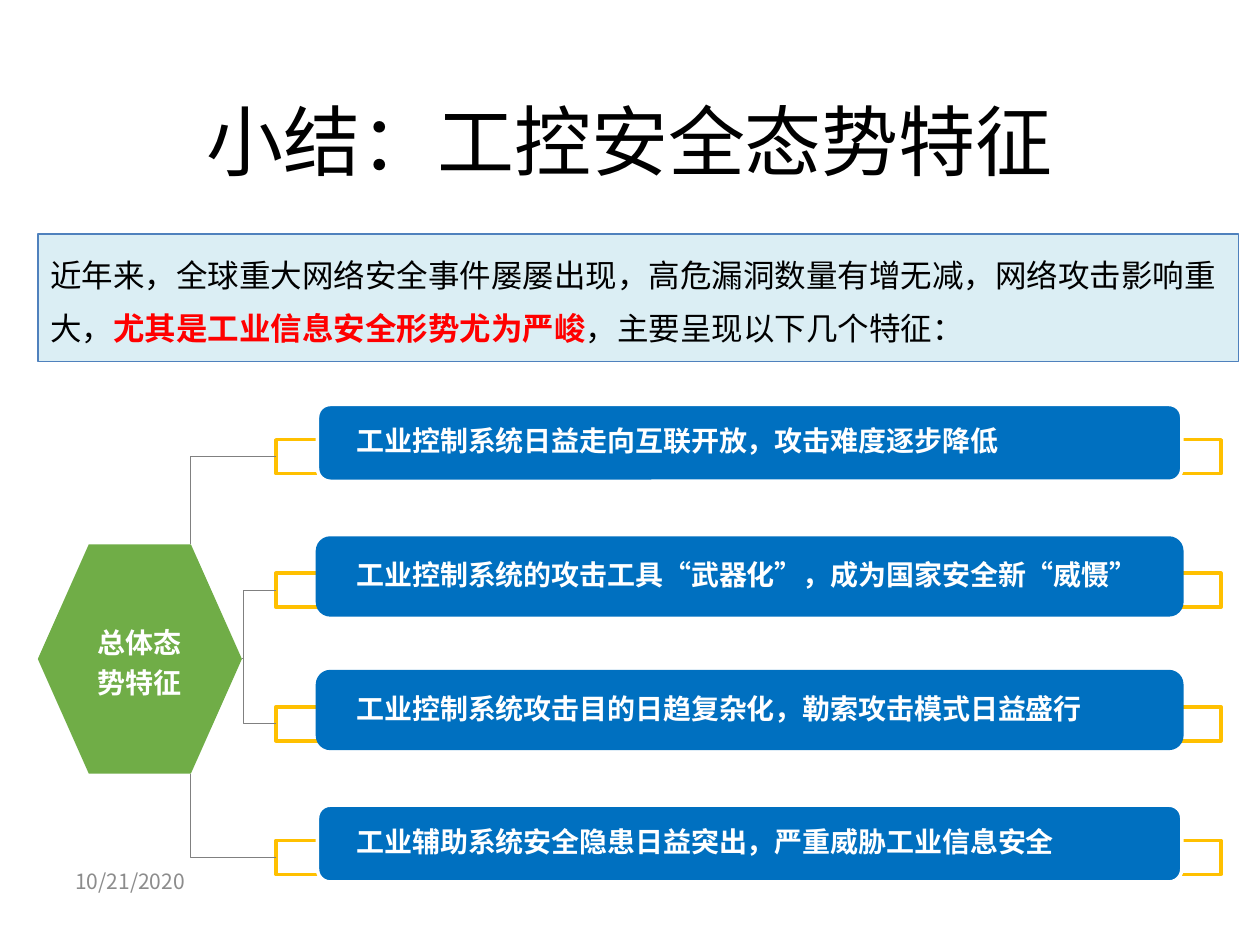
from lxml import etree
from pptx import Presentation, util as u
from pptx.dml.color import RGBColor
from pptx.enum import shapes, text
from pptx.oxml.ns import qn

TITLE = "小结：工控安全态势特征"
DATE = "10/21/2020"
INTRO = [
    ("近年来，全球重大网络安全事件屡屡出现，高危漏洞数量有增无减，网络攻击影响重大，", {}),
    ("尤其是工业信息安全形势尤为严峻", {"color": "alert", "bold": True}),
    ("，主要呈现以下几个特征：", {}),
]
HUB = "总体态势特征"
# wording, outline colour
FEATURES = [
    ("工业控制系统日益走向互联开放，攻击难度逐步降低", "white"),
    ("工业控制系统的攻击工具“武器化”，成为国家安全新“威慑”", "bar"),
    ("工业控制系统攻击目的日趋复杂化，勒索攻击模式日益盛行", "bar"),
    ("工业辅助系统安全隐患日益突出，严重威胁工业信息安全", "white"),
]

THEME = {
    "font": "Noto Sans CJK SC",
    "colors": {
        "black": "000000", "white": "FFFFFF", "grey": "8C8C8C", "alert": "FF0000",
        "panel": "DBEEF4", "panel_line": "4F81BD", "bar": "0070C0",
        "frame": "FFC000", "hub": "70AD47", "link": "808080",
    },
    "sizes": {"title": 44, "intro": 18, "label": 16, "date": 12},
}

HUB_BOX = (0.3, 4.32, 1.62, 1.82)
BAR_BOX = (2.52, 3.21, 6.86, 0.61)
FRAME_BOX = (2.19, 3.49, 7.5, 0.27)
STEP = 1.06


def color(name):
    return RGBColor.from_string(THEME["colors"][name])


def inches(values):
    return [u.Inches(v) for v in values]


def add_box(s, kind, box, fill, line=None, width=1):
    sp = s.shapes.add_shape(kind, *inches(box))
    sp.shadow.inherit = False
    sp.fill.solid()
    sp.fill.fore_color.rgb = color(fill)
    if line:
        sp.line.color.rgb = color(line)
        sp.line.width = u.Pt(width)
    else:
        sp.line.fill.background()
    return sp


def write(sp, runs, size, tint, bold=False, align="LEFT", anchor="MIDDLE",
          insets=(0.1, 0.05), **spacing):
    """Fill a shape with one paragraph; spacing holds paragraph attributes."""
    tf = sp.text_frame
    x, y = inches(insets)
    frame = {"word_wrap": True, "vertical_anchor": getattr(text.MSO_ANCHOR, anchor),
             "margin_left": x, "margin_right": x, "margin_top": y, "margin_bottom": y}
    for name, value in frame.items():
        setattr(tf, name, value)
    p = tf.paragraphs[0]
    for name, value in {"alignment": getattr(text.PP_ALIGN, align), **spacing}.items():
        setattr(p, name, value)
    for words, style in runs:
        r = p.add_run()
        r.text = words
        font = {"name": THEME["font"], "size": u.Pt(THEME["sizes"][size]),
                "bold": style.get("bold", bold)}
        for name, value in font.items():
            setattr(r.font, name, value)
        r.font.color.rgb = color(style.get("color", tint))
        ea = etree.SubElement(r.font._element, qn("a:ea"))
        ea.set("typeface", THEME["font"])


def add_link(s, start, end, preset, adjust=None):
    """Bent connector that leaves start horizontally."""
    c = s.shapes.add_connector(shapes.MSO_CONNECTOR.ELBOW, *inches(start + end))
    c.line.color.rgb = color("link")
    c.line.width = u.Pt(0.5)
    props = c._element.spPr
    etree.SubElement(props, qn("a:effectLst"))
    geom = props.find(qn("a:prstGeom"))
    geom.set("prst", preset)
    if adjust is not None:
        gd = etree.SubElement(geom.find(qn("a:avLst")), qn("a:gd"))
        gd.set("name", "adj1")
        gd.set("fmla", f"val {adjust}")


def add_feature(s, i, words, outline):
    x, y, w, h = FRAME_BOX
    frame = add_box(s, shapes.MSO_SHAPE.RECTANGLE, (x, y + i * STEP, w, h), "white", "frame", 2)
    fill = frame._element.spPr.find(qn("a:solidFill"))
    etree.SubElement(fill[0], qn("a:alpha")).set("val", "90000")
    x, y, w, h = BAR_BOX
    bar = add_box(s, shapes.MSO_SHAPE.ROUNDED_RECTANGLE, (x, y + i * STEP, w, h), "bar", outline, 2)
    write(bar, [(words, {})], "label", "white", bold=True, insets=(0.28, 0.01), line_spacing=0.9)


def add_links(s):
    x, y, w, h = HUB_BOX
    corner = x + w - w / 4
    side = (x + w, y + h / 2)
    hub_ends = [(corner, y), side, side, (corner, y + h)]
    for i, end in enumerate(hub_ends):
        start = (FRAME_BOX[0], FRAME_BOX[1] + FRAME_BOX[3] / 2 + i * STEP)
        if end == side:
            add_link(s, start, end, "bentConnector3", 96000)
        else:
            add_link(s, start, end, "bentConnector2")


def main():
    prs = Presentation()
    prs.slide_width, prs.slide_height = inches((10, 7.5))
    s = prs.slides.add_slide(prs.slide_layouts[6])

    title = s.shapes.add_textbox(*inches((0.5, 0.67, 9, 0.88)))
    write(title, [(TITLE, {})], "title", "black", align="CENTER")
    date = s.shapes.add_textbox(*inches((0.5, 6.79, 2.33, 0.4)))
    write(date, [(DATE, {})], "date", "grey")

    panel = add_box(s, shapes.MSO_SHAPE.RECTANGLE, (0.3, 1.86, 9.53, 1.01), "panel", "panel_line")
    write(panel, INTRO, "intro", "black", anchor="TOP", line_spacing=1.4, space_after=u.Pt(3))

    for i, (words, outline) in enumerate(FEATURES):
        add_feature(s, i, words, outline)

    hub = add_box(s, shapes.MSO_SHAPE.HEXAGON, HUB_BOX, "hub")
    write(hub, [(HUB, {})], "label", "white", bold=True, align="CENTER",
          insets=(0.17, 0.05), line_spacing=1.2)
    add_links(s)
    prs.save("out.pptx")


if __name__ == "__main__":
    main()
